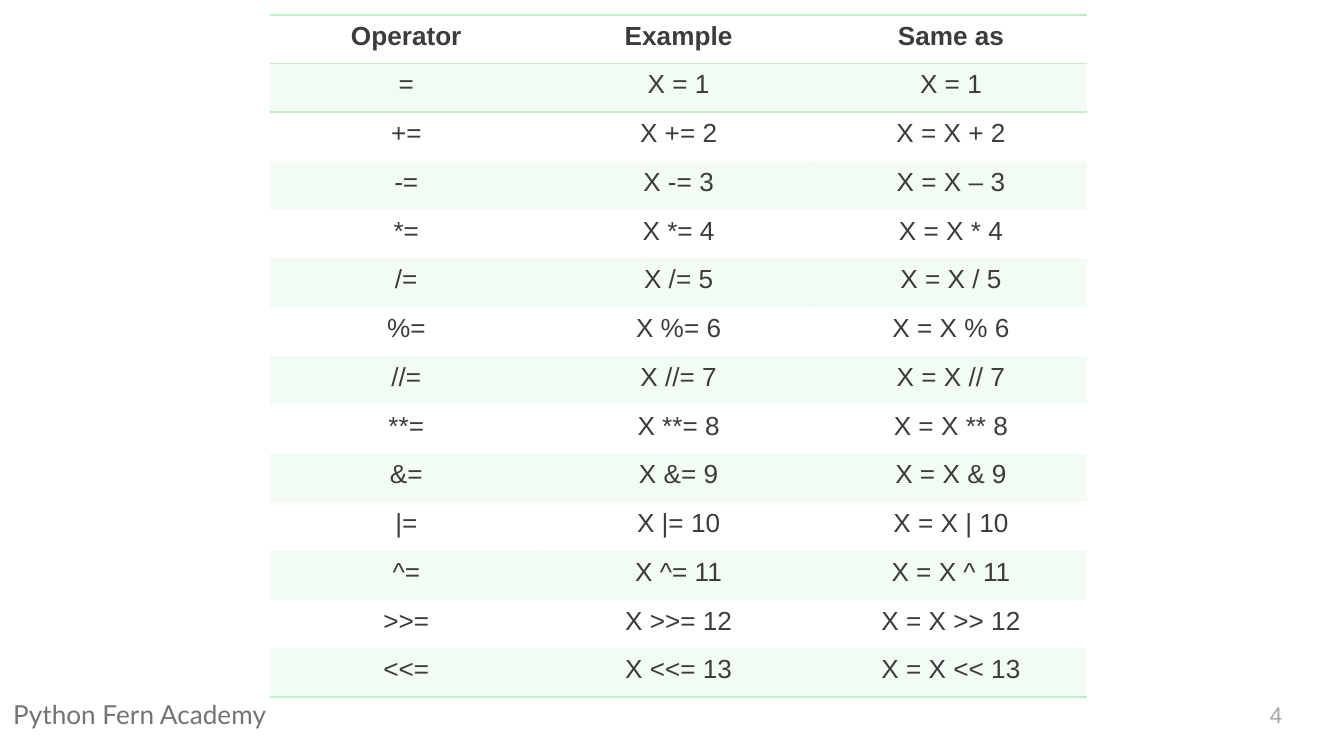
import pptx
import pptx.dml.color
import pptx.enum.text
import pptx.oxml
import pptx.oxml.ns
import pptx.util
from pptx.util import Inches

GREEN = "BEEECA"
INK = "3C3C3C"
NO_STYLE = "{2D5ABB26-0587-4C30-8999-92F81FD0307C}"
ALIGN = pptx.enum.text.PP_ALIGN
ANCHOR = pptx.enum.text.MSO_ANCHOR

HEADERS = ("Operator", "Example", "Same as")
OPERATORS = ("", "+", "-", "*", "/", "%", "//", "**", "&", "|", "^", ">>", "<<")


def rgb(color):
    return pptx.dml.color.RGBColor.from_string(color)


def write(tf, text, size=14, font="Arial", color=INK, bold=False, align=ALIGN.LEFT):
    p = tf.paragraphs[0]
    p.alignment = align
    r = p.add_run()
    r.text = text
    r.font.size = pptx.util.Pt(size)
    r.font.name = font
    r.font.bold = bold
    r.font.color.rgb = rgb(color)


def add_text(slide, text, left, top, width, height, inset=0.05,
             anchor=ANCHOR.TOP, **style):
    sp = slide.shapes.add_textbox(Inches(left), Inches(top),
                                  Inches(width), Inches(height))
    tf = sp.text_frame
    tf.word_wrap = True
    tf.vertical_anchor = anchor
    tf.margin_left = tf.margin_right = Inches(0.1)
    tf.margin_top = tf.margin_bottom = Inches(inset)
    write(tf, text, **style)


def add_border(cell, side):
    """Draw a 1 pt line on one side of a cell: lnT above, lnB below."""
    cell._tc.get_or_add_tcPr().append(pptx.oxml.parse_xml(
        f'<a:{side} {pptx.oxml.ns.nsdecls("a")} w="12700"><a:solidFill>'
        f'<a:srgbClr val="{GREEN}"/></a:solidFill></a:{side}>'))


def tint(cell, opacity):
    """Fill a cell with green at the given opacity in percent."""
    cell.fill.solid()
    cell.fill.fore_color.rgb = rgb(GREEN)
    fill = cell._tc.tcPr.find(pptx.oxml.ns.qn("a:solidFill"))
    fill[0].append(pptx.oxml.parse_xml(
        f'<a:alpha {pptx.oxml.ns.nsdecls("a")} val="{opacity * 1000}"/>'))


def operator_rows():
    """Give the header, then each operator with its short and long form."""
    rows = [HEADERS]
    for n, op in enumerate(OPERATORS, start=1):
        sign = "–" if op == "-" else op
        long_form = f"X = X {sign} {n}" if op else f"X = {n}"
        rows.append((f"{op}=", f"X {op}= {n}", long_form))
    return rows


def add_operator_table(slide, left, top, width, height):
    rows = operator_rows()
    table = slide.shapes.add_table(len(rows), len(HEADERS), Inches(left), Inches(top),
                                   Inches(width), Inches(height)).table
    table.horz_banding = False
    table._tbl.tblPr.find(pptx.oxml.ns.qn("a:tableStyleId")).text = NO_STYLE
    last = len(rows) - 1
    for i, row in enumerate(rows):
        for j, text in enumerate(row):
            cell = table.cell(i, j)
            write(cell.text_frame, text, bold=i == 0, align=ALIGN.CENTER)
            if i in (0, 1):
                add_border(cell, "lnT")
            if i in (0, last):
                add_border(cell, "lnB")
            if i % 2:
                tint(cell, 20)
            else:
                cell.fill.background()


def main():
    prs = pptx.Presentation()
    prs.slide_width = Inches(10)
    prs.slide_height = prs.slide_width * 9 // 16
    slide = prs.slides.add_slide(prs.slide_layouts[6])
    add_text(slide, "Python Fern Academy", 0, 5.15, 2.55, 0.34,
             font="Lato", color="737373")
    add_text(slide, "4", 9.35, 5.1, 0.6, 0.43, inset=0.1, anchor=ANCHOR.MIDDLE,
             size=12, color="A6A6A6")
    add_operator_table(slide, 2.01, 0.11, 6.08, 5.08)
    prs.save("out.pptx")


if __name__ == "__main__":
    main()
